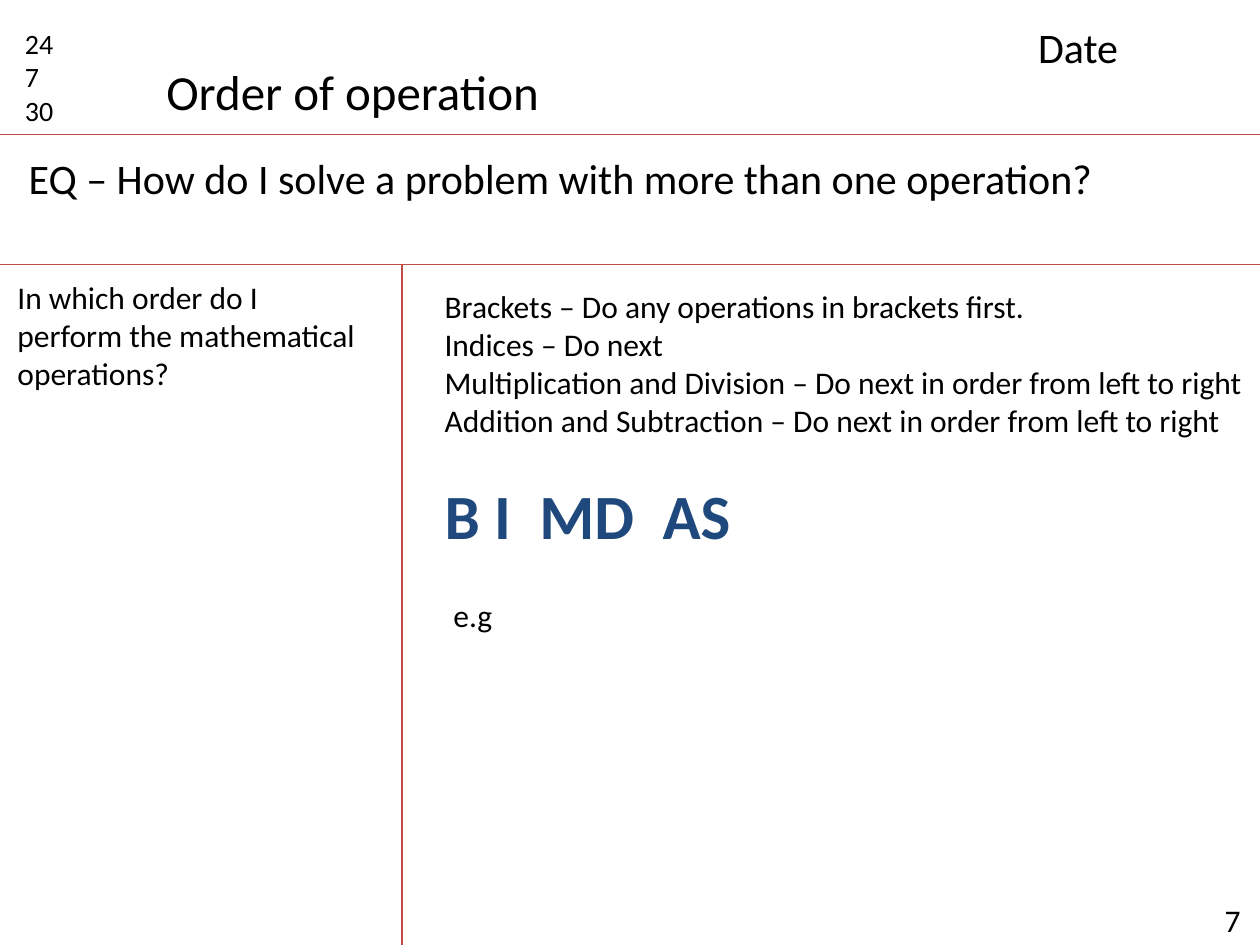
import pptx
import pptx.dml.color
import pptx.enum.shapes
import pptx.enum.text
import pptx.oxml.ns
import pptx.util
from lxml import etree
from pptx.util import Inches

BLACK = pptx.dml.color.RGBColor(0x00, 0x00, 0x00)
RULE_RED = pptx.dml.color.RGBColor(0xBF, 0x4C, 0x48)
ACRONYM_BLUE = pptx.dml.color.RGBColor(0x1F, 0x49, 0x7D)
FONT_NAME = "Calibri"
SLIDE_WIDTH = Inches(10)
SLIDE_HEIGHT = Inches(7.5)
HEADER_BOTTOM = Inches(1.07)
QUESTION_BOTTOM = Inches(2.1)
CUE_WIDTH = Inches(3.19)


def format_text(shape, text, size, wrap=True):
    frame = shape.text_frame
    frame.text = text
    frame.word_wrap = wrap
    frame.auto_size = pptx.enum.text.MSO_AUTO_SIZE.NONE
    frame.vertical_anchor = pptx.enum.text.MSO_ANCHOR.TOP
    for paragraph in frame.paragraphs:
        paragraph.alignment = pptx.enum.text.PP_ALIGN.LEFT
        for run in paragraph.runs:
            run.font.name = FONT_NAME
            run.font.size = pptx.util.Pt(size)
            run.font.color.rgb = BLACK


def add_text(slide, left, top, width, height, text, size, wrap=True):
    shape = slide.shapes.add_textbox(left, top, width, height)
    format_text(shape, text, size, wrap)
    return shape


def add_rule(slide, start_x, start_y, end_x, end_y):
    rule = slide.shapes.add_connector(
        pptx.enum.shapes.MSO_CONNECTOR.STRAIGHT, start_x, start_y, end_x, end_y)
    rule.line.color.rgb = RULE_RED
    rule.line.width = pptx.util.Pt(0.75)
    etree.SubElement(rule.element.spPr, pptx.oxml.ns.qn("a:effectLst"))


def add_header(slide, left, top, width, height):
    title = slide.shapes.title
    title.left, title.top = left + Inches(1.22), top + Inches(0.44)
    title.width, title.height = Inches(3.28), Inches(0.57)
    format_text(title, "Order of operation", 28, wrap=False)
    add_text(slide, left + Inches(0.1), top + Inches(0.16),
             Inches(0.63), Inches(0.91), "24\n7\n30", 16)
    add_text(slide, left + width - Inches(1.86), top + Inches(0.12),
             Inches(1.73), Inches(0.5), "Date", 24)
    add_rule(slide, left, top + height, left + width, top + height)


def add_question(slide, left, top, width, height):
    add_text(slide, left + Inches(0.13), top + Inches(0.09),
             Inches(9.43), Inches(0.5),
             "EQ – How do I solve a problem with more than one operation?", 24)
    add_rule(slide, left, top + height, left + width, top + height)


def add_cues(slide, left, top, width, height):
    add_text(slide, left + Inches(0.04), top + Inches(0.06),
             Inches(2.91), Inches(1.01),
             "In which order do I perform the mathematical operations?", 18)
    add_rule(slide, left + width, top, left + width, top + height)


def add_notes_area(slide, left, top, width, height):
    lines = [
        "Brackets – Do any operations in brackets first.",
        "Indices – Do next",
        "Multiplication and Division – Do next in order from left to right",
        "Addition and Subtraction – Do next in order from left to right",
        "B I  MD  AS",
    ]
    rules = add_text(slide, left + Inches(0.24), top + Inches(0.13),
                     Inches(6.62), Inches(2.83), "\n".join(lines), 18, wrap=False)
    acronym = rules.text_frame.paragraphs[-1]
    acronym.space_before = pptx.util.Pt(22)
    for run in acronym.runs:
        run.font.size = pptx.util.Pt(36)
        run.font.bold = True
        run.font.color.rgb = ACRONYM_BLUE
    add_text(slide, left + Inches(0.31), top + Inches(2.58),
             Inches(2.68), Inches(0.4), "e.g", 18)
    add_text(slide, left + width - Inches(0.38), top + height - Inches(0.4),
             Inches(0.38), Inches(0.4), "7", 18)


def main():
    presentation = pptx.Presentation()
    presentation.slide_width = SLIDE_WIDTH
    presentation.slide_height = SLIDE_HEIGHT
    slide = presentation.slides.add_slide(presentation.slide_layouts[5])
    body_height = SLIDE_HEIGHT - QUESTION_BOTTOM
    add_header(slide, 0, 0, SLIDE_WIDTH, HEADER_BOTTOM)
    add_question(slide, 0, HEADER_BOTTOM, SLIDE_WIDTH, QUESTION_BOTTOM - HEADER_BOTTOM)
    add_cues(slide, 0, QUESTION_BOTTOM, CUE_WIDTH, body_height)
    add_notes_area(slide, CUE_WIDTH, QUESTION_BOTTOM, SLIDE_WIDTH - CUE_WIDTH, body_height)
    presentation.save("out.pptx")


if __name__ == "__main__":
    main()
